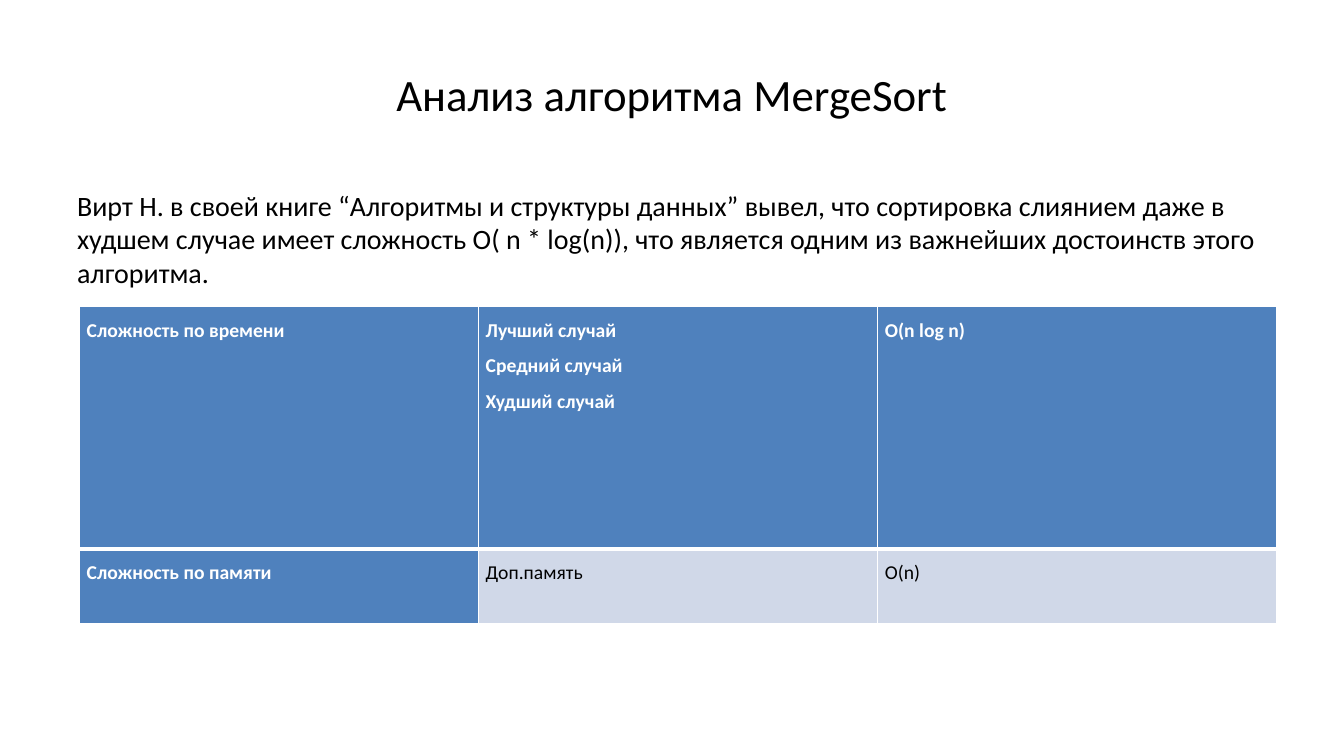
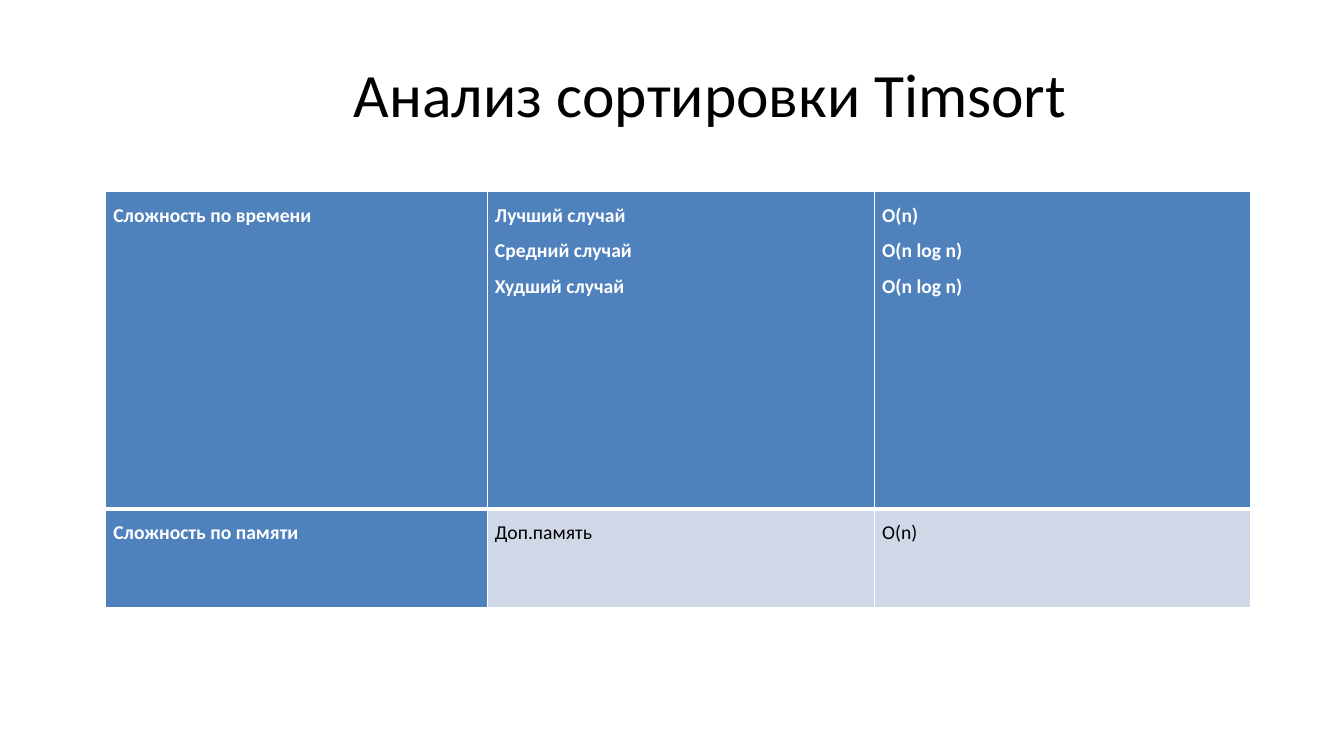
from dataclasses import dataclass

from lxml.etree import SubElement
from pptx import Presentation
from pptx.dml.color import RGBColor
from pptx.enum.text import MSO_ANCHOR, PP_ALIGN
from pptx.oxml.ns import qn
from pptx.slide import Slide
from pptx.table import _Cell
from pptx.text.text import TextFrame
from pptx.util import Pt


@dataclass(frozen=True)
class Theme:
    font: str = "Calibri"
    text: str = "000000"
    light: str = "FFFFFF"
    accent: str = "4F81BD"
    pale: str = "D0D8E8"
    body_size: float = 20
    cell_size: float = 14
    cell_spacing: float = 1.5
    cell_margin: float = 5.4
    thin_line: float = 1
    header_line: float = 3


@dataclass(frozen=True)
class Area:
    left: float
    top: float
    width: float
    height: float


@dataclass(frozen=True)
class Analysis:
    title: str
    title_size: float
    title_area: Area
    table_left: float
    table_top: float
    columns: tuple[float, ...]
    rows: tuple[float, ...]
    time_values: tuple[str, ...]
    note: str = ""


THEME = Theme()
NOTE_AREA = Area(48, 131, 864, 356.4)
CASES = ("Лучший случай", "Средний случай", "Худший случай")
ANALYSES = (
    Analysis(
        title="Анализ алгоритма MergeSort",
        title_size=32,
        title_area=Area(48, 21.6, 864, 90),
        table_left=56.5,
        table_top=218.9,
        columns=(285.1, 285.1, 285.1),
        rows=(173, 53.5),
        time_values=("O(n log n)",),
        note="Вирт Н. в своей книге “Алгоритмы и структуры данных” вывел, что "
        "сортировка слиянием даже в худшем случае имеет сложность "
        "O( n * log(n)), что является одним из важнейших достоинств этого "
        "алгоритма.",
    ),
    Analysis(
        title="Анализ сортировки Timsort",
        title_size=44,
        title_area=Area(75.6, 21, 864, 90),
        table_left=75.6,
        table_top=136.8,
        columns=(272.6, 276.6, 268.6),
        rows=(226.8, 70.6),
        time_values=("O(n)", "O(n log n)", "O(n log n)"),
    ),
)


def write_text(frame: TextFrame, lines: tuple[str, ...], *, size: float,
               color: str = THEME.text, bold: bool = False,
               align: PP_ALIGN = PP_ALIGN.LEFT, spacing: float = 1) -> None:
    frame.word_wrap = True
    for index, line in enumerate(lines):
        para = frame.add_paragraph() if index else frame.paragraphs[0]
        para.alignment = align
        para.line_spacing = spacing
        span = para.add_run()
        span.text = line
        span.font.name = THEME.font
        span.font.size = Pt(size)
        span.font.bold = bold
        span.font.color.rgb = RGBColor.from_string(color)


def add_text(page: Slide, area: Area, text: str, *, size: float,
             align: PP_ALIGN = PP_ALIGN.LEFT,
             anchor: MSO_ANCHOR = MSO_ANCHOR.TOP) -> None:
    box = page.shapes.add_textbox(
        Pt(area.left), Pt(area.top), Pt(area.width), Pt(area.height))
    box.text_frame.vertical_anchor = anchor
    write_text(box.text_frame, (text,), size=size, align=align)


def set_borders(cell: _Cell, *, top: float, bottom: float) -> None:
    properties = cell._tc.get_or_add_tcPr()
    widths = {"lnL": THEME.thin_line, "lnR": THEME.thin_line,
              "lnT": top, "lnB": bottom}
    for side, width in widths.items():
        line = SubElement(properties, qn(f"a:{side}"), w=str(Pt(width)))
        fill = SubElement(line, qn("a:solidFill"))
        SubElement(fill, qn("a:srgbClr"), val=THEME.light)


def format_cell(cell: _Cell, lines: tuple[str, ...], *, heading: bool,
                top: float, bottom: float) -> None:
    cell.margin_left = cell.margin_right = Pt(THEME.cell_margin)
    cell.margin_top = cell.margin_bottom = Pt(0)
    set_borders(cell, top=top, bottom=bottom)
    cell.fill.solid()
    cell.fill.fore_color.rgb = RGBColor.from_string(
        THEME.accent if heading else THEME.pale)
    write_text(cell.text_frame, lines, size=THEME.cell_size, bold=heading,
               color=THEME.light if heading else THEME.text,
               spacing=THEME.cell_spacing)


def add_complexity_table(page: Slide, analysis: Analysis) -> None:
    content = (
        (("Сложность по времени",), CASES, analysis.time_values),
        (("Сложность по памяти",), ("Доп.память",), ("O(n)",)),
    )
    table = page.shapes.add_table(
        len(analysis.rows), len(analysis.columns),
        Pt(analysis.table_left), Pt(analysis.table_top),
        Pt(sum(analysis.columns)), Pt(sum(analysis.rows))).table
    table.horz_banding = False
    for column, width in zip(table.columns, analysis.columns):
        column.width = Pt(width)
    for row, height in zip(table.rows, analysis.rows):
        row.height = Pt(height)
    for row_index, row_content in enumerate(content):
        is_header = row_index == 0
        for column_index, lines in enumerate(row_content):
            format_cell(
                table.cell(row_index, column_index), lines,
                heading=is_header or column_index == 0,
                top=THEME.thin_line if is_header else THEME.header_line,
                bottom=THEME.header_line if is_header else THEME.thin_line)


def main() -> None:
    deck = Presentation()
    deck.slide_width, deck.slide_height = Pt(960), Pt(540)
    blank = deck.slide_layouts[6]
    for analysis in ANALYSES:
        page = deck.slides.add_slide(blank)
        add_text(page, analysis.title_area, analysis.title,
                 size=analysis.title_size, align=PP_ALIGN.CENTER,
                 anchor=MSO_ANCHOR.MIDDLE)
        if analysis.note:
            add_text(page, NOTE_AREA, analysis.note, size=THEME.body_size)
        add_complexity_table(page, analysis)
    deck.save("out.pptx")


if __name__ == "__main__":
    main()
